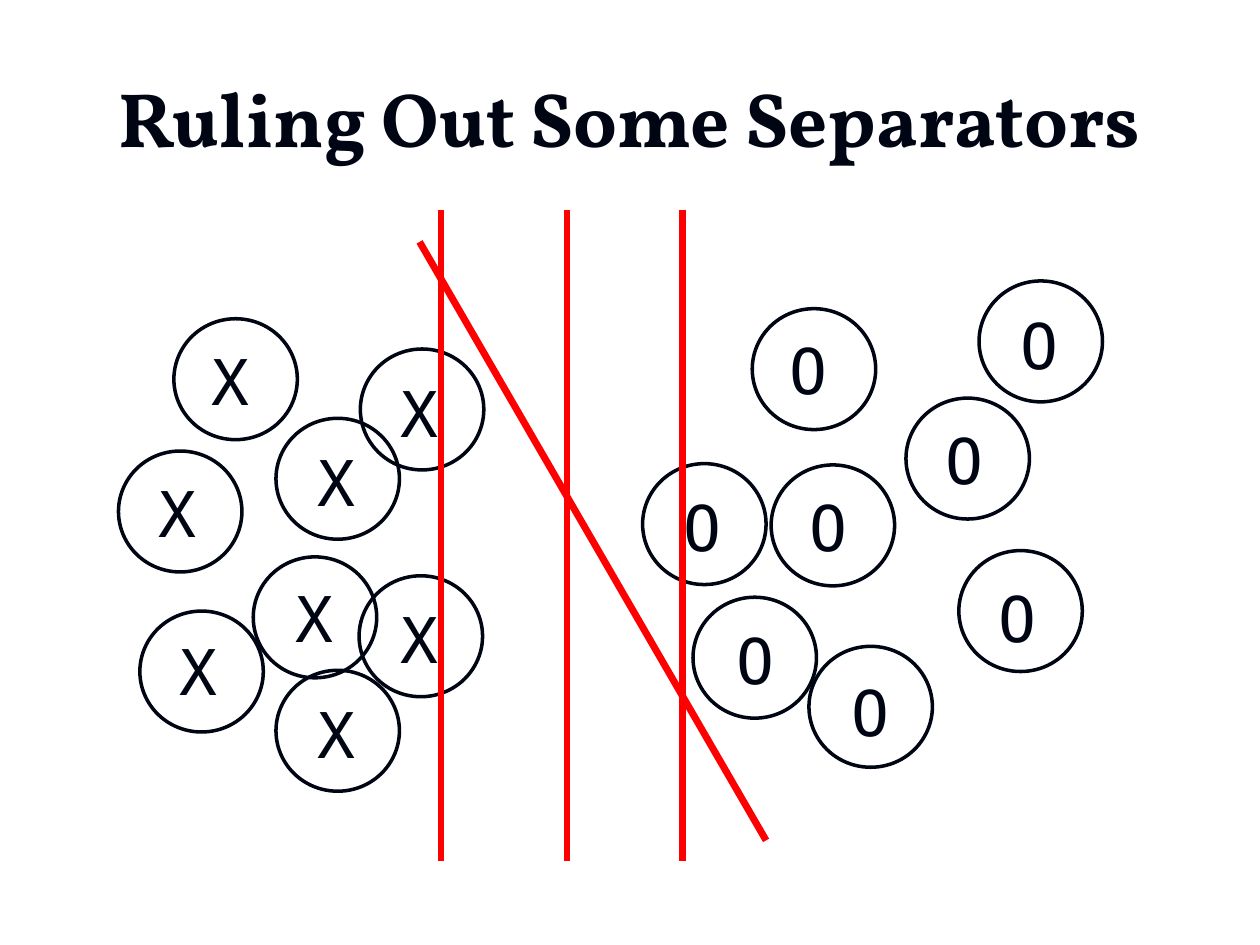
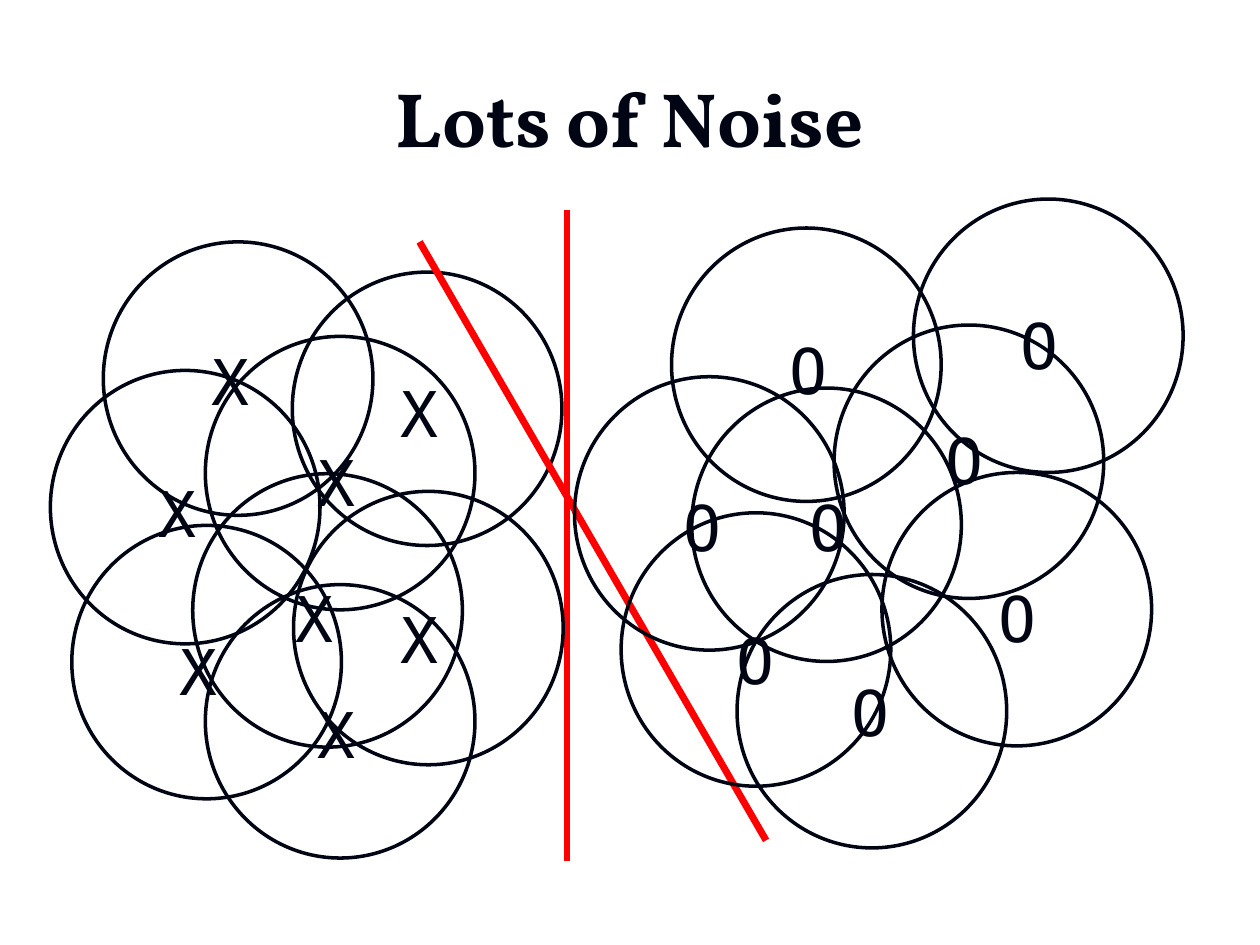
"""Build two slides on linear separators between noisy X and O points."""
from lxml import etree
from pptx import Presentation
from pptx.dml.color import RGBColor
from pptx.enum.shapes import MSO_CONNECTOR, MSO_SHAPE
from pptx.enum.text import MSO_ANCHOR, MSO_AUTO_SIZE, PP_ALIGN
from pptx.oxml.ns import qn
from pptx.util import Inches, Pt

STRAIGHT = MSO_CONNECTOR.STRAIGHT
ELLIPSE = MSO_SHAPE.OVAL
MIDDLE = MSO_ANCHOR.MIDDLE
CENTER = PP_ALIGN.CENTER
NO_AUTOFIT = MSO_AUTO_SIZE.NONE
GROW = MSO_AUTO_SIZE.SHAPE_TO_FIT_TEXT

INK = RGBColor(0x00, 0x05, 0x14)
RED = RGBColor(0xFF, 0x00, 0x00)
TITLE_FONT = "Vollkorn"
POINT_FONT = "DejaVu Sans Mono"
TITLE_ONLY = 5

POINTS = {
    "X": [(3.08, 2.92), (3.08, 4.72), (2.42, 3.47), (2.25, 4.55),
          (2.42, 5.47), (1.58, 2.67), (1.16, 3.72), (1.33, 4.97)],
    "O": [(5.33, 3.83), (5.75, 4.88), (6.66, 5.3), (6.33, 3.83),
          (6.17, 2.58), (7.41, 3.3), (7.83, 4.55), (8, 2.38)],
}

DIAGONAL = (3.33, 1.92, 6.08, 6.67)
LEFT_EDGE, MIDDLE_GAP, RIGHT_EDGE = [(x, 1.67, x, 6.83) for x in (3.5, 4.5, 5.42)]

SLIDES = [
    {
        "title": "Ruling Out Some Separators",
        "noise_size": (0.98, 0.96),
        "circles_below": [
            (1.38, 2.53), (0.94, 3.58), (1.11, 4.85), (2.19, 5.32),
            (2.85, 4.57), (2.01, 4.42), (2.19, 3.32), (2.86, 2.77),
            (5.1, 3.68), (5.5, 4.74), (6.42, 5.13), (6.12, 3.69),
            (5.97, 2.45), (7.19, 3.16), (7.77, 2.23), (7.61, 4.37)],
        "separators": [LEFT_EDGE, RIGHT_EDGE, DIAGONAL, MIDDLE_GAP],
        "circles_above": [],
    },
    {
        "title": "Lots of Noise",
        "noise_size": (2.14, 2.17),
        "circles_below": [(2.32, 2.16)],
        "separators": [DIAGONAL, MIDDLE_GAP],
        "circles_above": [
            (2.33, 3.9), (1.53, 3.76), (1.63, 4.64), (4.56, 2.99),
            (4.93, 4.07), (5.85, 4.56), (7, 3.75), (5.49, 3.08),
            (6.62, 2.58), (7.25, 1.58), (5.33, 1.81), (1.63, 2.67),
            (0.82, 1.92), (0.4, 2.94), (0.57, 4.17)],
    },
]


def format_text(paragraph, font_name, size, bold=False):
    for run in paragraph.runs:
        run.font.name = font_name
        run.font.size = Pt(size)
        run.font.bold = bold
        run.font.color.rgb = INK


def add_circles(slide, positions, size):
    width, height = size
    for left, top in positions:
        circle = slide.shapes.add_shape(
            ELLIPSE, Inches(left), Inches(top), Inches(width), Inches(height))
        circle.shadow.inherit = False
        circle.fill.background()
        circle.line.color.rgb = INK
        circle.line.width = Pt(2)


presentation = Presentation()
presentation.slide_width = Inches(10)
presentation.slide_height = Inches(7.5)

for content in SLIDES:
    slide = presentation.slides.add_slide(presentation.slide_layouts[TITLE_ONLY])

    title = slide.shapes.title
    title.left, title.top = Inches(0.5), Inches(0.3)
    title.width, title.height = Inches(9), Inches(1.25)
    title.text_frame.text = content["title"]
    title.text_frame.auto_size = NO_AUTOFIT
    title.text_frame.vertical_anchor = MIDDLE
    title_paragraph = title.text_frame.paragraphs[0]
    title_paragraph.alignment = CENTER
    format_text(title_paragraph, TITLE_FONT, 44, bold=True)

    for label, positions in POINTS.items():
        for left, top in positions:
            point = slide.shapes.add_textbox(
                Inches(left), Inches(top), Inches(0.5), Inches(0.7))
            point.text_frame.text = label
            point.text_frame.word_wrap = False
            point.text_frame.auto_size = GROW
            format_text(point.text_frame.paragraphs[0], POINT_FONT, 36)

    add_circles(slide, content["circles_below"], content["noise_size"])
    for ends in content["separators"]:
        separator = slide.shapes.add_connector(STRAIGHT, *map(Inches, ends))
        separator.line.color.rgb = RED
        separator.line.width = Pt(4)
        etree.SubElement(separator.element.spPr, qn("a:effectLst"))
    add_circles(slide, content["circles_above"], content["noise_size"])

presentation.save("out.pptx")
